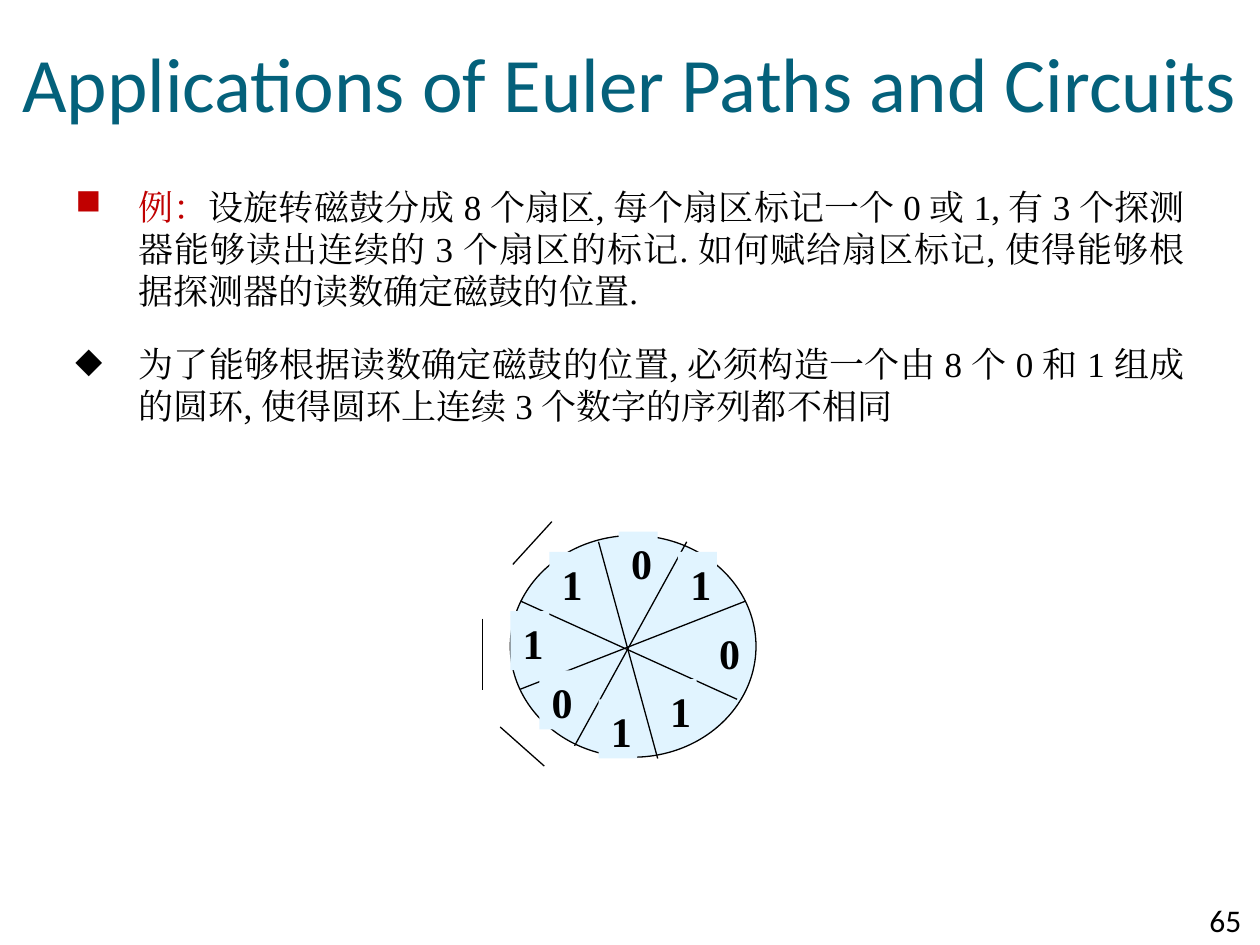
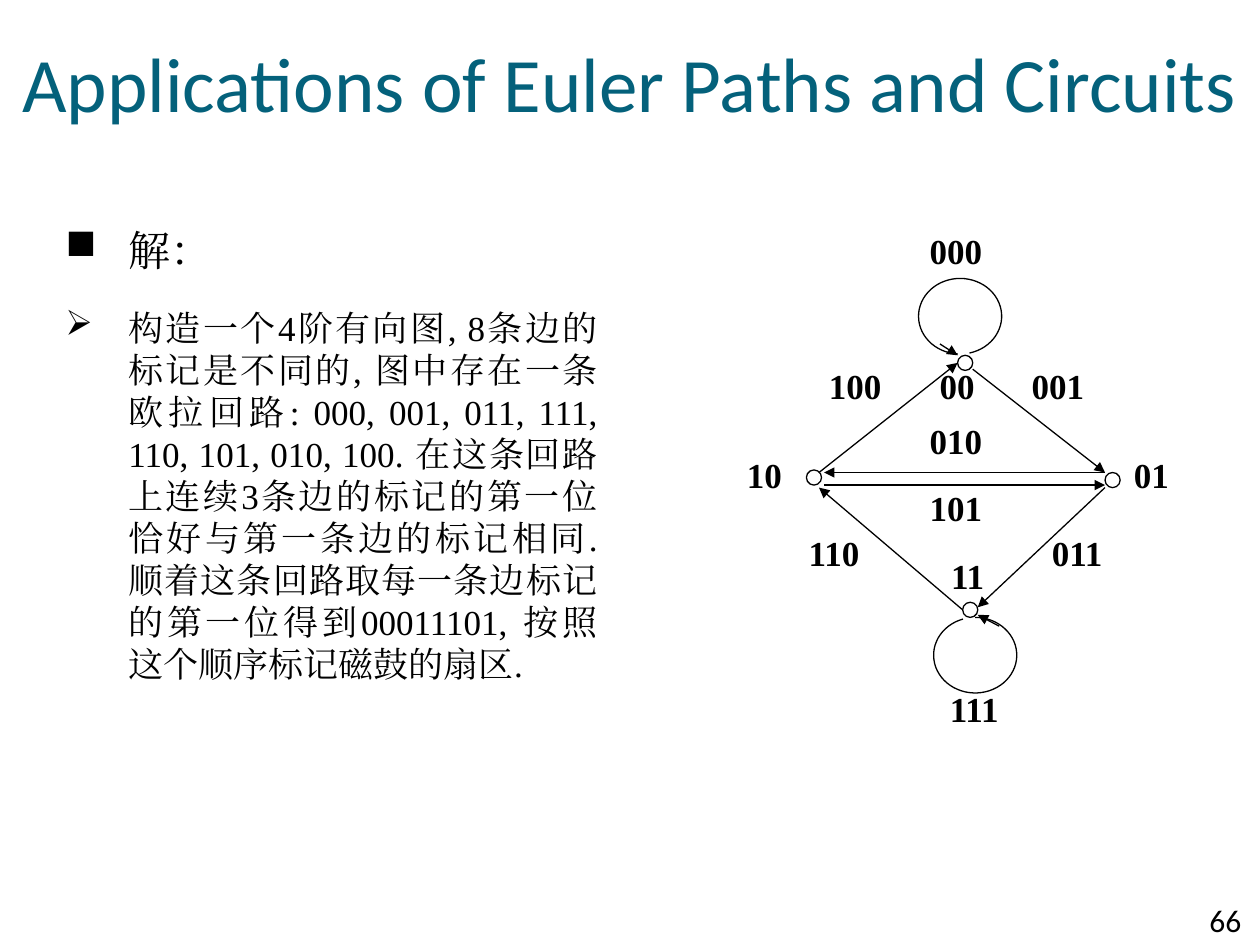
import math
from dataclasses import dataclass

import pptx
import pptx.dml.color
import pptx.enum.shapes
import pptx.enum.text
import pptx.oxml.ns
import pptx.slide
import pptx.text.text
import pptx.util
from lxml import etree

# Grid: 100 columns by 75 rows
SLIDE_WIDTH = pptx.util.Inches(10)
SLIDE_HEIGHT = pptx.util.Inches(7.5)
COLUMN = SLIDE_WIDTH / 100
ROW = SLIDE_HEIGHT / 75

# Shared style
TITLE = "Applications of Euler Paths and Circuits"
TITLE_FONT, BODY_FONT = "Calibri", "Times New Roman"
BLACK, WHITE, TEAL, RED, DRUM_BLUE = "000000", "FFFFFF", "04617B", "C00000", "E1F4FF"
LINE_WIDTH = 0.75
ALIGN = pptx.enum.text.PP_ALIGN
SHAPE = pptx.enum.shapes.MSO_SHAPE


@dataclass(frozen=True)
class Area:
    column: float
    row: float
    columns: float
    rows: float

    def lengths(self) -> tuple[int, int, int, int]:
        return (round(self.column * COLUMN), round(self.row * ROW),
                round(self.columns * COLUMN), round(self.rows * ROW))


@dataclass(frozen=True)
class Line:
    start: tuple[float, float]
    end: tuple[float, float]
    arrow: bool = False


@dataclass(frozen=True)
class Label:
    text: str
    column: float
    row: float


@dataclass(frozen=True)
class Span:
    text: str
    color: str = BLACK


@dataclass(frozen=True)
class Bullet:
    mark: str
    size: float
    spans: tuple[Span, ...]


@dataclass(frozen=True)
class Loop:
    column: float
    row: float
    first_angle: float
    last_angle: float


def rgb(color: str) -> pptx.dml.color.RGBColor:
    return pptx.dml.color.RGBColor.from_string(color)


def format_run(run: pptx.text.text._Run, size: float, color: str,
               font: str = BODY_FONT, bold: bool = False) -> None:
    run.font.size = pptx.util.Pt(size)
    run.font.name = font
    run.font.bold = bold
    run.font.color.rgb = rgb(color)
    properties = run.font._element
    east_asian = etree.SubElement(properties, pptx.oxml.ns.qn("a:ea"))
    east_asian.set("typeface", font)


def write(frame: pptx.text.text.TextFrame, text: str, size: float, color: str = BLACK,
          font: str = BODY_FONT, bold: bool = False, align: ALIGN = ALIGN.LEFT) -> None:
    frame.word_wrap = True
    frame.text = text
    para = frame.paragraphs[0]
    para.alignment = align
    format_run(para.runs[0], size, color, font, bold)


def add_text(page: pptx.slide.Slide, area: Area, text: str, size: float,
             font: str = BODY_FONT, bold: bool = False) -> None:
    box = page.shapes.add_textbox(*area.lengths())
    write(box.text_frame, text, size, font=font, bold=bold)


def add_page(deck: pptx.presentation.Presentation, number: int) -> pptx.slide.Slide:
    page = deck.slides.add_slide(deck.slide_layouts.get_by_name("Title Only"))
    title = page.shapes.title
    title.left, title.top, title.width, title.height = Area(0, 0, 100, 13).lengths()
    write(title.text_frame, TITLE, 44, TEAL, TITLE_FONT, align=ALIGN.CENTER)
    title.text_frame.auto_size = pptx.enum.text.MSO_AUTO_SIZE.NONE
    title.text_frame.vertical_anchor = pptx.enum.text.MSO_ANCHOR.MIDDLE
    add_text(page, Area(95, 71, 5, 4), str(number), 18, TITLE_FONT)
    return page


def add_bullets(page: pptx.slide.Slide, area: Area, bullets: list[Bullet]) -> None:
    frame = page.shapes.add_textbox(*area.lengths()).text_frame
    frame.word_wrap = True
    for index, bullet in enumerate(bullets):
        para = frame.add_paragraph() if index else frame.paragraphs[0]
        para.alignment = ALIGN.JUSTIFY
        para.space_before = pptx.util.Pt(12 if index else 0)
        para.space_after = pptx.util.Pt(6)
        properties = para._p.get_or_add_pPr()
        indent = pptx.util.Inches(0.5)
        properties.set("marL", str(indent))
        properties.set("indent", str(-indent))
        mark = etree.SubElement(properties, pptx.oxml.ns.qn("a:buChar"))
        mark.set("char", bullet.mark)
        for span in bullet.spans:
            run = para.add_run()
            run.text = span.text
            format_run(run, bullet.size, span.color)


def add_filled(page: pptx.slide.Slide, kind: SHAPE, area: Area, fill: str,
               outlined: bool = True) -> pptx.shapes.autoshape.Shape:
    shape = page.shapes.add_shape(kind, *area.lengths())
    shape.shadow.inherit = False
    shape.fill.solid()
    shape.fill.fore_color.rgb = rgb(fill)
    if outlined:
        shape.line.color.rgb = rgb(BLACK)
        shape.line.width = pptx.util.Pt(LINE_WIDTH)
    else:
        shape.line.fill.background()
    return shape


def add_line(page: pptx.slide.Slide, line: Line) -> None:
    ends = [round(value * unit) for point in (line.start, line.end)
            for value, unit in zip(point, (COLUMN, ROW))]
    connector = page.shapes.add_connector(pptx.enum.shapes.MSO_CONNECTOR.STRAIGHT, *ends)
    connector.line.color.rgb = rgb(BLACK)
    connector.line.width = pptx.util.Pt(LINE_WIDTH)
    if line.arrow:
        head = etree.SubElement(connector.line._get_or_add_ln(), pptx.oxml.ns.qn("a:tailEnd"))
        head.set("type", "triangle")
    etree.SubElement(connector._element.spPr, pptx.oxml.ns.qn("a:effectLst"))


def add_loop(page: pptx.slide.Slide, loop: Loop, steps: int = 60) -> None:
    """Draw an open ellipse; angles run clockwise from the right."""
    points = []
    for step in range(steps + 1):
        share = step / steps
        angle = math.radians(loop.first_angle + share * (loop.last_angle - loop.first_angle))
        points.append(((loop.column + 3.3 * math.cos(angle)) * COLUMN,
                       (loop.row + 3 * math.sin(angle)) * ROW))
    builder = page.shapes.build_freeform(round(points[0][0]), round(points[0][1]))
    builder.add_line_segments([(round(x), round(y)) for x, y in points[1:]], close=False)
    outline = builder.convert_to_shape()
    outline.shadow.inherit = False
    outline.fill.background()
    outline.line.color.rgb = rgb(BLACK)
    outline.line.width = pptx.util.Pt(LINE_WIDTH)


# Slide 65: magnetic drum
DRUM_BULLETS = [
    Bullet("■", 20, (
        Span("例：", RED),
        Span("设旋转磁鼓分成 8 个扇区, 每个扇区标记一个 0 或 1, 有 3 个探测器能够读出连续的 3 个扇区的标记. "
             "如何赋给扇区标记, 使得能够根据探测器的读数确定磁鼓的位置."))),
    Bullet("◆", 20, (
        Span("为了能够根据读数确定磁鼓的位置, 必须构造一个由 8 个 0 和 1 组成的圆环, "
             "使得圆环上连续 3 个数字的序列都不相同"),)),
]
SECTOR_LINES = [
    Line((41.3, 47.7), (58.5, 55.5)), Line((54.5, 43), (45.6, 59.2)),
    Line((47.5, 43), (52.2, 60.2)), Line((41.3, 54.7), (59.2, 47.7)),
]
DETECTORS = [
    Line((43.8, 41.4), (40.7, 44.8)), Line((38.3, 49.1), (38.3, 54.8)),
    Line((39.7, 57.7), (43.2, 60.8)),
]
SECTOR_DIGITS = [
    Label("0", 42.8, 53.2), Label("0", 56.1, 49.3), Label("0", 49.1, 42.2),
    Label("1", 43.6, 43.8), Label("1", 40.5, 48.5), Label("1", 47.5, 55.5),
    Label("1", 53.8, 43.8), Label("1", 52.2, 53.9),
]

# Slide 66: directed graph
GRAPH_BULLETS = [
    Bullet("■", 24, (Span("解："),)),
    Bullet("➢", 20, (
        Span("构造一个4阶有向图, 8条边的标记是不同的, 图中存在一条欧拉回路: "
             "000, 001, 011, 111, 110, 101, 010, 100. "
             "在这条回路上连续3条边的标记的第一位恰好与第一条边的标记相同. "
             "顺着这条回路取每一条边标记的第一位得到00011101, 按照这个顺序标记磁鼓的扇区."),)),
]
NODES = [(76, 28.2), (76.4, 47.8), (87.7, 37.5), (64, 37.3)]
EDGES = [
    Line((77.2, 29.3), (87.7, 37.5), True), Line((87.7, 38.7), (77.6, 48.2), True),
    Line((76.4, 48.4), (65, 38.7), True), Line((65, 37.5), (76, 28.8), True),
    Line((87.7, 37.5), (65.4, 37.5), True), Line((65.4, 38.5), (87.7, 38.5), True),
]
LOOPS = [Loop(76.2, 25.1, 77, -267), Loop(77.4, 52, -107, -450)]
LOOP_ARROWS = [Line((74.6, 27.3), (76, 28.2), True), Line((79.3, 49.7), (77.6, 48.8), True)]
GRAPH_LABELS = [
    Label("00", 73.6, 28.4), Label("01", 89, 35.5), Label("10", 58.3, 35.5),
    Label("11", 74.5, 43.5), Label("000", 72.8, 17.7), Label("001", 80.9, 28.4),
    Label("011", 82.5, 41.7), Label("010", 72.8, 32.8), Label("100", 64.8, 28.4),
    Label("101", 72.8, 38.1), Label("110", 63.2, 41.7), Label("111", 74.4, 54.1),
]


def build_drum(page: pptx.slide.Slide) -> None:
    add_bullets(page, Area(5, 14.2, 90, 57.5), DRUM_BULLETS)
    add_filled(page, SHAPE.OVAL, Area(40.5, 42.5, 19.5, 17.6), DRUM_BLUE)
    for line in SECTOR_LINES + DETECTORS:
        add_line(page, line)
    for digit in SECTOR_DIGITS:
        patch = add_filled(page, SHAPE.RECTANGLE, Area(digit.column, digit.row, 3.1, 4.7),
                           DRUM_BLUE, outlined=False)
        patch.text_frame.vertical_anchor = pptx.enum.text.MSO_ANCHOR.TOP
        write(patch.text_frame, digit.text, 24, bold=True)


def build_graph(page: pptx.slide.Slide) -> None:
    add_bullets(page, Area(4.2, 17.3, 44.2, 57.5), GRAPH_BULLETS)
    for column, row in NODES:
        add_filled(page, SHAPE.OVAL, Area(column, row, 1.2, 1.2), WHITE)
    for loop in LOOPS:
        add_loop(page, loop)
    for line in EDGES + LOOP_ARROWS:
        add_line(page, line)
    for label in GRAPH_LABELS:
        columns = 6.4 if len(label.text) == 2 else 8
        add_text(page, Area(label.column, label.row, columns, 5.3), label.text, 20, bold=True)


def main() -> None:
    deck = pptx.Presentation()
    deck.slide_width, deck.slide_height = SLIDE_WIDTH, SLIDE_HEIGHT
    for number, build in enumerate((build_drum, build_graph), start=65):
        build(add_page(deck, number))
    deck.save("out.pptx")


if __name__ == "__main__":
    main()
